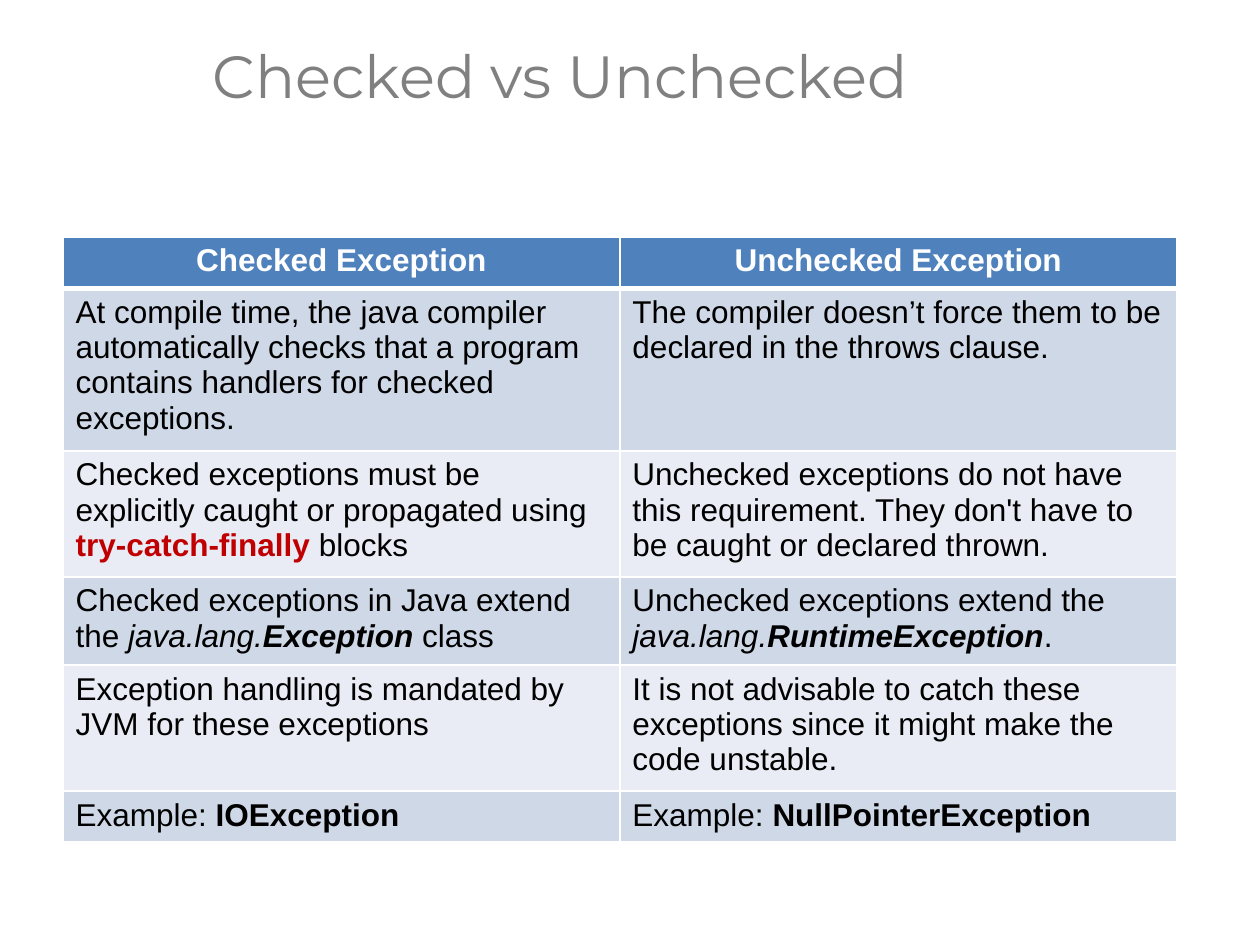
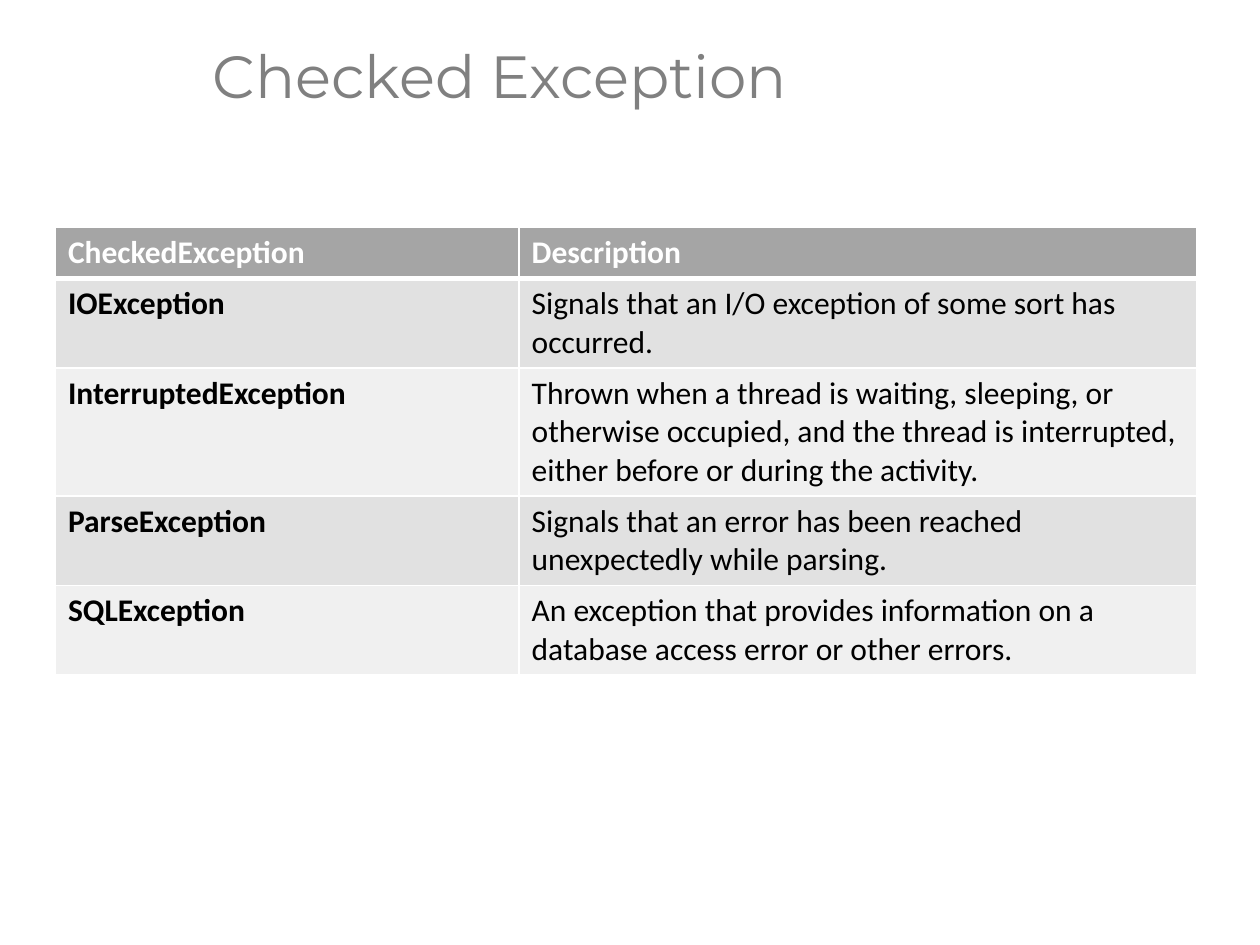
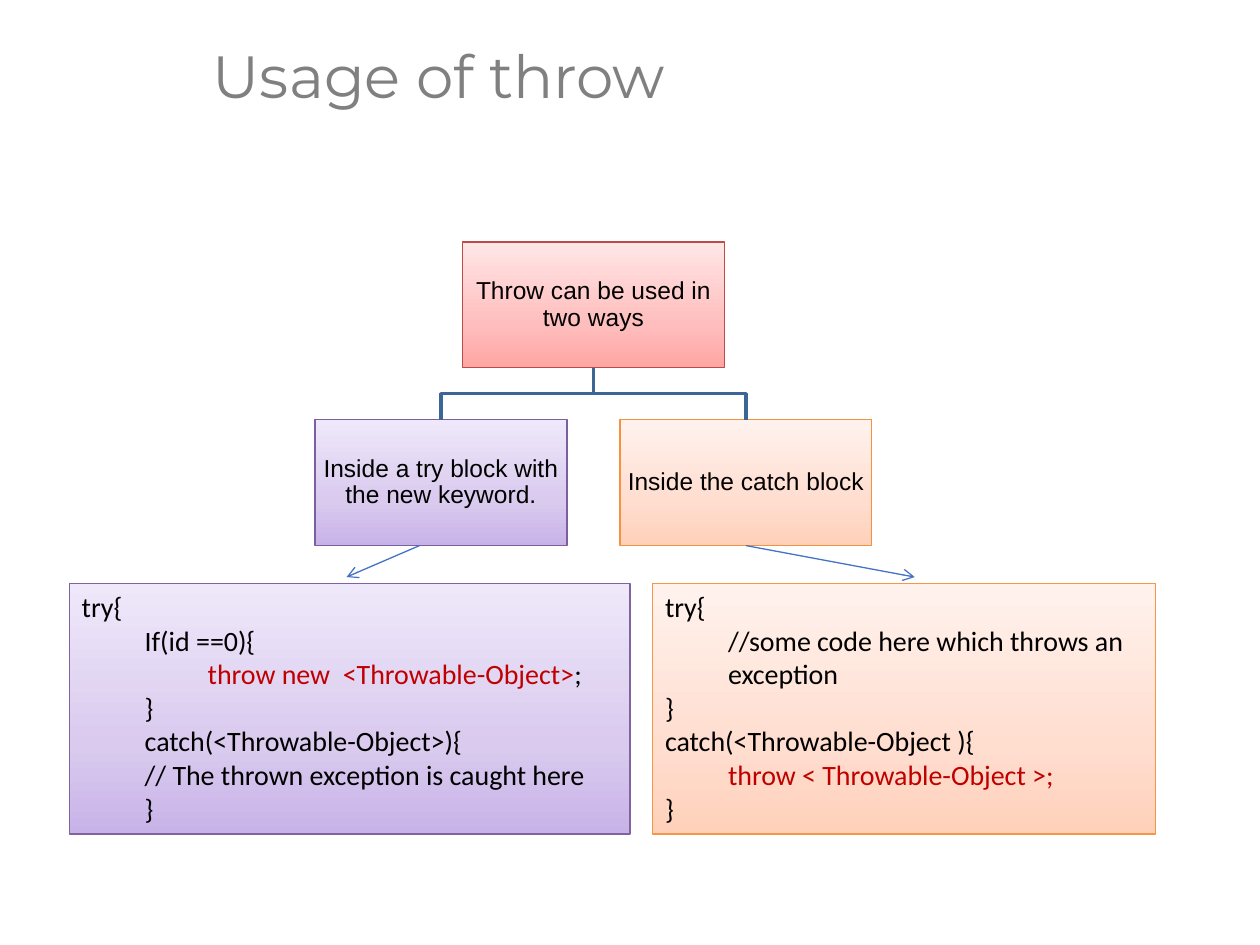
from lxml import etree
from pptx import Presentation, util as u
from pptx.dml.color import RGBColor
from pptx.enum import shapes, text
from pptx.oxml.ns import qn

# The slide is a grid of 10 columns by 7.5 rows
CELL = u.Inches(1)
COLUMNS, ROWS = 10, 7.5

# Shared colours and styles
WHITE, BLACK, RED, TITLE_GREY = "FFFFFF", "000000", "C00000", "808080"
ORG_LINE, ARROW = "3B6696", "4472C4"
PINK = ("FFA5A3", "FFBEBE", "FFE6E6")
PURPLE = ("C8B3E9", "D9CAEE", "EFE8FA")
ORANGE = ("FFD1BB", "FFDDCF", "FFF2ED")
STOPS = (0, 35, 100)
BLUE_TABLE = {"header": "4F81BD", "bands": ("CFD8E7", "E9ECF4")}
GREY_TABLE = {"header": "A5A5A5", "bands": ("E1E1E1", "F0F0F0")}
BOLD, ITALIC, BOLD_ITALIC = {"bold": True}, {"italic": True}, {"bold": True, "italic": True}


def rgb(value):
    return RGBColor.from_string(value)


def grid(*cells):
    return [round(cell * CELL) for cell in cells]


def sub(parent, tag, **attributes):
    return etree.SubElement(parent, qn(tag), attributes)


# Text
def add_run(paragraph, words, color=BLACK, **style):
    run = paragraph.add_run()
    run.text = words
    for name, value in style.items():
        setattr(run.font, name, value)
    run.font.color.rgb = rgb(color)


def write(paragraph, content, **base):
    """Content is a string or a list of strings and (words, style) pairs."""
    for part in [content] if isinstance(content, str) else content:
        words, style = (part, {}) if isinstance(part, str) else part
        add_run(paragraph, words, **{**base, **style})


def new_slide(deck, heading):
    slide = deck.slides.add_slide(deck.slide_layouts[5])
    title = slide.shapes.title
    title.left, title.top, title.width, title.height = grid(1.59, 0.01, COLUMNS - 1.59, 1.24)
    frame = title.text_frame
    frame.auto_size = text.MSO_AUTO_SIZE.NONE
    frame.vertical_anchor = text.MSO_ANCHOR.MIDDLE
    line = frame.paragraphs[0]
    line.alignment, line.line_spacing = text.PP_ALIGN.LEFT, 0.9
    write(line, heading, name="Montserrat", size=u.Pt(34), color=TITLE_GREY)
    return slide


# Tables
def add_borders(cell, top, bottom):
    properties = cell._tc.get_or_add_tcPr()
    widths = {"a:lnL": 1, "a:lnR": 1, "a:lnT": top, "a:lnB": bottom}
    for place, (tag, points) in enumerate(widths.items()):
        border = etree.Element(qn(tag), w=str(u.Pt(points)))
        sub(sub(border, "a:solidFill"), "a:srgbClr", val=WHITE)
        properties.insert(place, border)


def add_comparison(slide, left, top, widths, heights, rows, palette, font,
                   header_align=text.PP_ALIGN.LEFT, bold_first=False):
    frame = slide.shapes.add_table(len(rows), len(widths),
                                   *grid(left, top, sum(widths), sum(heights)))
    table = frame.table
    for column, width in zip(table.columns, grid(*widths)):
        column.width = width
    for row, height in zip(table.rows, grid(*heights)):
        row.height = height
    for r, row in enumerate(rows):
        header = r == 0
        for c, content in enumerate(row):
            cell = table.cell(r, c)
            cell.fill.solid()
            cell.fill.fore_color.rgb = rgb(palette["header"] if header
                                           else palette["bands"][(r - 1) % 2])
            add_borders(cell, 3 if r == 1 else 1, 3 if header else 1)
            line = cell.text_frame.paragraphs[0]
            line.alignment = header_align if header else text.PP_ALIGN.LEFT
            write(line, content, name=font, size=u.Pt(18), italic=False,
                  bold=header or (bold_first and c == 0),
                  color=WHITE if header else BLACK)


# Boxes and lines
def add_box(slide, area, gradient, outline):
    box = slide.shapes.add_shape(shapes.MSO_SHAPE.RECTANGLE, *grid(*area))
    box.shadow.inherit = False
    box.fill.gradient()
    box.fill.gradient_angle = 90
    stops = box._element.spPr.find(qn("a:gradFill")).find(qn("a:gsLst"))
    for stop in list(stops):
        stops.remove(stop)
    for percent, color in zip(STOPS, gradient):
        sub(sub(stops, "a:gs", pos=str(percent * 1000)), "a:srgbClr", val=color)
    box.line.color.rgb = rgb(outline)
    box.line.width = u.Pt(0.75)
    box.text_frame.word_wrap = True
    return box


def add_node(slide, area, gradient, outline, label):
    node = add_box(slide, area, gradient, outline)
    frame = node.text_frame
    for side in ("left", "top", "right", "bottom"):
        setattr(frame, f"margin_{side}", u.Inches(0.01))
    frame.vertical_anchor = text.MSO_ANCHOR.MIDDLE
    line = frame.paragraphs[0]
    line.alignment, line.line_spacing = text.PP_ALIGN.CENTER, 0.9
    write(line, label, name="Arial", size=u.Pt(14))
    return node


def add_code(slide, area, gradient, outline, lines):
    """Lines are (indent level, content) pairs."""
    frame = add_box(slide, area, gradient, outline).text_frame
    frame.vertical_anchor = text.MSO_ANCHOR.TOP
    for number, (level, content) in enumerate(lines):
        line = frame.add_paragraph() if number else frame.paragraphs[0]
        line.alignment, line.level = text.PP_ALIGN.LEFT, level
        properties = line._p.get_or_add_pPr()
        properties.set("marL", str(level * u.Inches(0.5)))
        properties.set("indent", "0")
        write(line, content, name="Calibri", size=u.Pt(16))


def add_branch(slide, parent, child):
    start_x, start_y = parent.left + parent.width // 2, parent.top + parent.height
    end_x = child.left + child.width // 2
    middle = (start_y + child.top) // 2
    builder = slide.shapes.build_freeform(start_x, start_y)
    builder.add_line_segments([(start_x, middle), (end_x, middle), (end_x, child.top)],
                              close=False)
    branch = builder.convert_to_shape()
    branch.shadow.inherit = False
    branch.fill.background()
    branch.line.color.rgb = rgb(ORG_LINE)
    branch.line.width = u.Pt(2)


def add_arrow(slide, start, end, source=None):
    arrow = slide.shapes.add_connector(shapes.MSO_CONNECTOR.STRAIGHT, *grid(*start, *end))
    if source is not None:
        arrow.begin_connect(source, 2)
    arrow.line.color.rgb = rgb(ARROW)
    arrow.line.width = u.Pt(0.75)
    sub(arrow.line._get_or_add_ln(), "a:tailEnd", type="arrow")
    sub(arrow._element.spPr, "a:effectLst")


# Slides
def checked_vs_unchecked(deck):
    slide = new_slide(deck, "Checked vs Unchecked")
    rows = [
        ("Checked Exception", "Unchecked Exception"),
        ("At compile time, the java compiler automatically checks that a program "
         "contains handlers for checked exceptions.",
         "The compiler doesn’t force them to be declared in the throws clause."),
        (["Checked exceptions must be explicitly caught or propagated using ",
          ("try-catch-finally ", {"bold": True, "color": RED}), "blocks"],
         "Unchecked exceptions do not have this requirement. They don't have to be "
         "caught or declared thrown."),
        (["Checked exceptions in Java extend the ", ("java.lang.", ITALIC),
          ("Exception ", BOLD_ITALIC), "class"],
         ["Unchecked exceptions extend the ", ("java.lang.", ITALIC),
          ("RuntimeException", BOLD_ITALIC), "."]),
        ("Exception handling is mandated by JVM for these exceptions",
         "It is not advisable to catch these exceptions since it might make the "
         "code unstable."),
        (["Example: ", ("IOException", BOLD)],
         ["Example: ", ("NullPointerException", BOLD)]),
    ]
    add_comparison(slide, 0.5, 1.88, (4.42, 4.42), (0.41, 1.29, 1, 0.7, 1, 0.4), rows,
                   BLUE_TABLE, "Arial", header_align=text.PP_ALIGN.CENTER)


def checked_exception(deck):
    slide = new_slide(deck, "Checked Exception")
    rows = [
        ("CheckedException", "Description"),
        ("IOException", "Signals that an I/O exception of some sort has occurred."),
        ("InterruptedException",
         "Thrown when a thread is waiting, sleeping, or otherwise occupied, and the "
         "thread is interrupted, either before or during the activity."),
        ("ParseException",
         "Signals that an error has been reached unexpectedly while parsing."),
        ("SQLException",
         "An exception that provides information on a database access error or "
         "other errors."),
    ]
    add_comparison(slide, 0.44, 1.8, (3.68, 5.38), [0.41] * len(rows), rows,
                   GREY_TABLE, "Calibri", bold_first=True)


def usage_of_throw(deck):
    slide = new_slide(deck, "Usage of throw")
    # Tree of the two ways
    root = add_node(slide, (3.67, 1.92, 2.08, 1), PINK, "BD4B48",
                    "Throw can be used in two ways")
    in_try = add_node(slide, (2.5, 3.33, 2, 1), PURPLE, "7C5F9F",
                      "Inside a try block with the new keyword.")
    in_catch = add_node(slide, (4.92, 3.33, 2, 1), ORANGE, "F5913F",
                        "Inside the catch block")
    for way in (in_try, in_catch):
        add_branch(slide, root, way)
    # Code for each way
    code_top, code_height = 4.63, 1.99
    add_code(slide, (0.55, code_top, 4.45, code_height), PURPLE, "8064A2", [
        (0, "try{"),
        (1, "If(id ==0){"),
        (2, [("throw new  <Throwable-Object>", {"color": RED}), ";"]),
        (1, "}"),
        (1, "catch(<Throwable-Object>){"),
        (1, "// The thrown exception is caught here"),
        (1, "}"),
    ])
    add_code(slide, (5.18, code_top, 3.99, code_height), ORANGE, "F79646", [
        (0, "try{"),
        (1, "//some code here which throws an exception"),
        (0, "}"),
        (0, "catch(<Throwable-Object ){"),
        (1, [("throw < Throwable-Object >;", {"color": RED})]),
        (0, "}"),
    ])
    add_arrow(slide, (3.33, 4.33), (2.75, 4.58))
    add_arrow(slide, (5.92, 4.33), (7.26, 4.58), source=in_catch)


def main():
    deck = Presentation()
    deck.slide_width, deck.slide_height = grid(COLUMNS, ROWS)
    checked_vs_unchecked(deck)
    checked_exception(deck)
    usage_of_throw(deck)
    deck.save("out.pptx")


if __name__ == "__main__":
    main()
